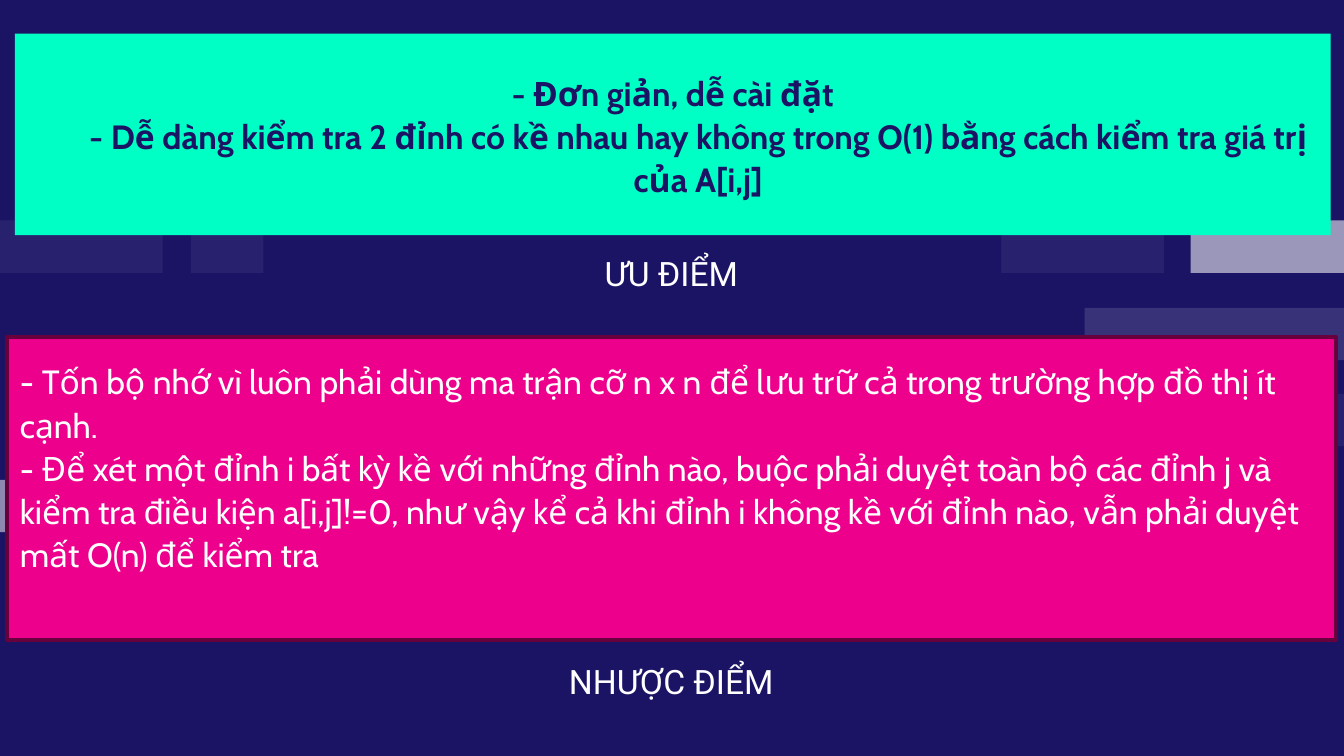
"""Build a slide on the pros and cons of the adjacency matrix."""
from lxml import etree
from pptx import Presentation
from pptx.dml.color import RGBColor
from pptx.enum.shapes import MSO_SHAPE
from pptx.enum.text import MSO_ANCHOR, PP_ALIGN
from pptx.oxml.ns import qn
from pptx.util import Inches, Pt

RECTANGLE = MSO_SHAPE.RECTANGLE
TOP, MIDDLE = MSO_ANCHOR.TOP, MSO_ANCHOR.MIDDLE
LEFT, CENTER = PP_ALIGN.LEFT, PP_ALIGN.CENTER

NAVY = RGBColor(0x1B, 0x14, 0x64)
MINT = RGBColor(0x00, 0xFF, 0xC5)
PINK = RGBColor(0xEC, 0x00, 0x8C)
MAROON = RGBColor(0x67, 0x00, 0x3D)
WHITE = RGBColor(0xFF, 0xFF, 0xFF)

SLIDE_WIDTH = 10
SLIDE_HEIGHT = SLIDE_WIDTH * 9 / 16
BAND_HEIGHT = 0.39
LINE_SPACING = 1.07
HANGING = 0.38

# left, top, width, opacity in percent
BANDS = [
    (8.07, 2.29, 1.93, 13),
    (7.45, 1.64, 1.21, 6),
    (7.54, 2.93, 2.46, 6),
    (8.86, 1.64, 1.14, 56),
    (0, 3.57, 1.14, 50),
    (0, 1.64, 1.21, 6),
    (1.42, 1.64, 0.54, 6),
]
PROS = [
    "- Đơn giản, dễ cài đặt",
    "- Dễ dàng kiểm tra 2 đỉnh có kề nhau hay không trong O(1) "
    "bằng cách kiểm tra giá trị của A[i,j]",
]
CONS = [
    "- Tốn bộ nhớ vì luôn phải dùng ma trận cỡ n x n để lưu trữ cả trong "
    "trường hợp đồ thị ít cạnh.",
    "- Để xét một đỉnh i bất kỳ kề với những đỉnh nào, buộc phải duyệt toàn bộ "
    "các đỉnh j và kiểm tra điều kiện a[i,j]!=0, như vậy kể cả khi đỉnh i không "
    "kề với đỉnh nào, vẫn phải duyệt mất O(n) để kiểm tra",
]
CAPTIONS = [("ƯU ĐIỂM", 1.88), ("NHƯỢC ĐIỂM", 4.92)]


def add_panel(slide, box, fill):
    panel = slide.shapes.add_shape(RECTANGLE, *map(Inches, box))
    panel.shadow.inherit = False
    panel.fill.solid()
    panel.fill.fore_color.rgb = fill
    panel.line.fill.background()
    return panel


def set_frame(frame, insets, anchor):
    frame.word_wrap = True
    frame.vertical_anchor = anchor
    (frame.margin_left, frame.margin_top,
     frame.margin_right, frame.margin_bottom) = map(Inches, insets)


def add_run(paragraph, text, font_name, color, bold=False):
    run = paragraph.add_run()
    run.text = text
    run.font.name = font_name
    run.font.size = Pt(18)
    run.font.bold = bold
    run.font.color.rgb = color


def add_band(slide, left, top, width, opacity):
    band = add_panel(slide, (left, top, width, BAND_HEIGHT), WHITE)
    color = next(band.element.iter(qn("a:srgbClr")))
    etree.SubElement(color, qn("a:alpha")).set("val", str(opacity * 1000))


def add_pros(slide):
    pros = add_panel(slide, (0.11, 0.25, 9.79, 1.5), MINT)
    set_frame(pros.text_frame, (0.1, 0.1, 0.1, 0.1), MIDDLE)
    paragraph = pros.text_frame.paragraphs[0]
    paragraph.alignment = CENTER
    paragraph.line_spacing = LINE_SPACING
    properties = paragraph._p.get_or_add_pPr()
    properties.set("marL", str(Inches(HANGING)))
    properties.set("indent", str(-Inches(HANGING)))
    for index, text in enumerate(PROS):
        if index:
            paragraph.add_line_break()
        add_run(paragraph, text, "Cabin", NAVY, bold=True)


def add_caption(slide, text, top):
    caption = slide.shapes.add_textbox(*map(Inches, (3.74, top, 2.51, 0.5)))
    set_frame(caption.text_frame, (0.1, 0, 0.1, 0.1), TOP)
    paragraph = caption.text_frame.paragraphs[0]
    paragraph.alignment = CENTER
    add_run(paragraph, text, "Roboto", WHITE)


def add_cons(slide):
    cons = add_panel(slide, (0.05, 2.51, 9.89, 2.25), PINK)
    cons.line.color.rgb = MAROON
    cons.line.width = Pt(2)
    frame = cons.text_frame
    set_frame(frame, (0.1, 0.05, 0.1, 0.38), MIDDLE)
    for index, text in enumerate(CONS):
        paragraph = frame.add_paragraph() if index else frame.paragraphs[0]
        paragraph.alignment = LEFT
        paragraph.line_spacing = LINE_SPACING
        add_run(paragraph, text, "Cabin", WHITE)


def main():
    deck = Presentation()
    deck.slide_width = Inches(SLIDE_WIDTH)
    deck.slide_height = Inches(SLIDE_HEIGHT)
    slide = deck.slides.add_slide(deck.slide_layouts[6])
    slide.background.fill.solid()
    slide.background.fill.fore_color.rgb = NAVY
    for band in BANDS:
        add_band(slide, *band)
    add_pros(slide)
    for text, top in CAPTIONS:
        add_caption(slide, text, top)
    add_cons(slide)
    deck.save("out.pptx")


if __name__ == "__main__":
    main()
